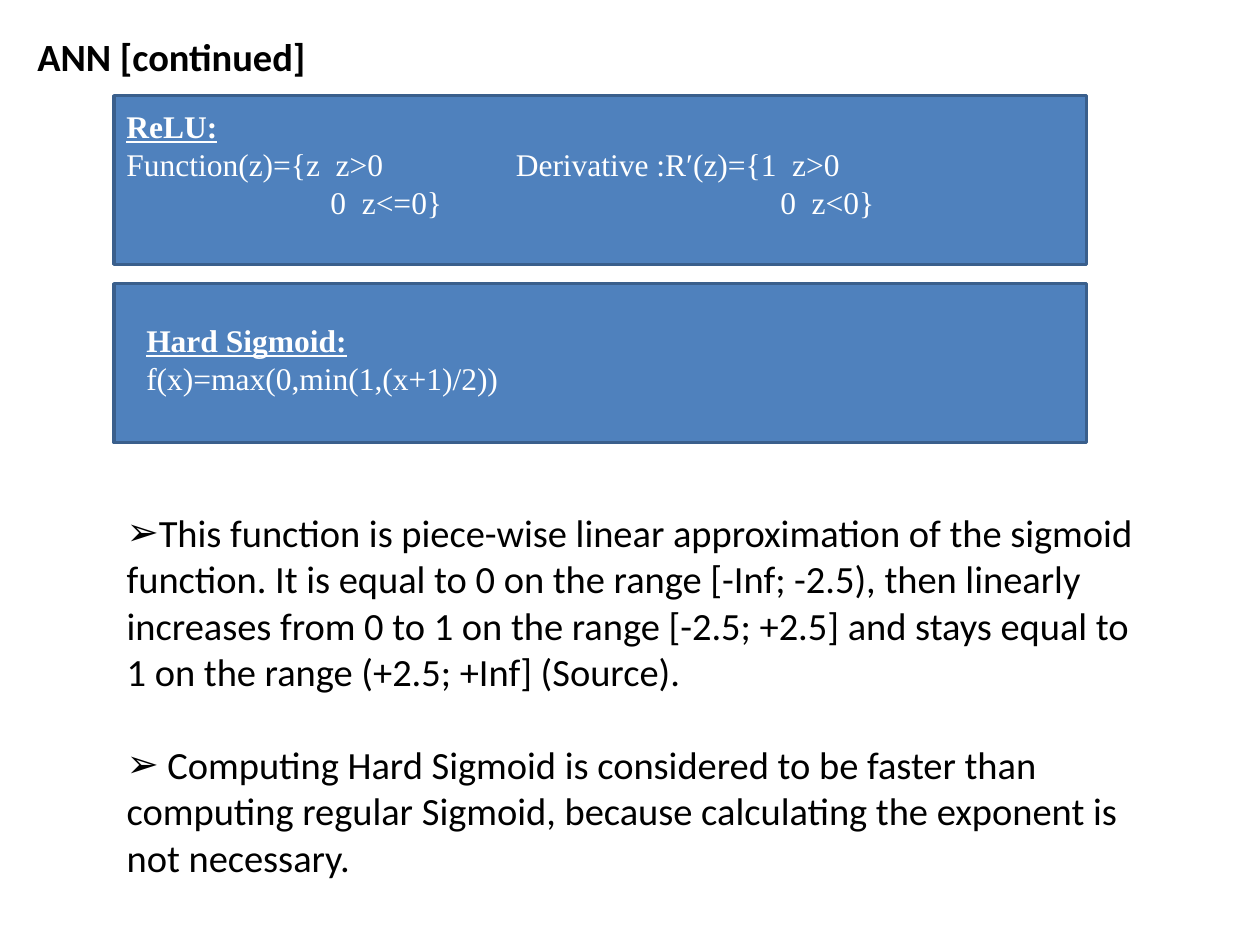
from dataclasses import dataclass

from lxml.etree import SubElement
from pptx import Presentation
from pptx.dml.color import RGBColor
from pptx.enum.shapes import MSO_SHAPE as Shape
from pptx.enum.text import MSO_ANCHOR as Anchor, MSO_AUTO_SIZE as AutoSize, PP_ALIGN as Align
from pptx.oxml.ns import qn
from pptx.util import Cm, Pt


@dataclass(frozen=True)
class Theme:
    panel: RGBColor = RGBColor(0x4F, 0x81, 0xBD)
    border: RGBColor = RGBColor(0x3A, 0x5F, 0x8C)
    dark: RGBColor = RGBColor(0, 0, 0)
    light: RGBColor = RGBColor(0xFF, 0xFF, 0xFF)
    text_font: str = "Calibri"
    formula_font: str = "Times New Roman"
    text_size: Pt = Pt(22)
    formula_size: Pt = Pt(18)


theme = Theme()


def style(paragraph, name, size, color, bold=False, underline=False):
    paragraph.alignment = Align.LEFT
    paragraph.space_before = Pt(0)
    font = paragraph.font
    font.name, font.size, font.bold, font.underline = name, size, bold, underline
    font.color.rgb = color


def place(shape, left, top, width, height):
    shape.left, shape.top, shape.width, shape.height = map(Cm, (left, top, width, height))


presentation = Presentation()
presentation.slide_width, presentation.slide_height = Cm(25.4), Cm(19.05)
slide = presentation.slides.add_slide(presentation.slide_layouts[1])

# Title
title = slide.shapes.title
place(title, 0.5, 0.53, 8.6, 1.2)
title.text_frame.text = "ANN [continued]"
title.text_frame.auto_size = AutoSize.NONE
style(title.text_frame.paragraphs[0], theme.text_font, theme.text_size, theme.dark, bold=True)

# Notes on the hard sigmoid
body = slide.placeholders[1]
place(body, 2.3, 10.14, 20.8, 7.77)
body.text_frame.text = "\n".join([
    "This function is piece-wise linear approximation of the sigmoid function. "
    "It is equal to 0 on the range [-Inf; -2.5), then linearly increases from 0 to 1 "
    "on the range [-2.5; +2.5] and stays equal to 1 on the range (+2.5; +Inf] (Source).",
    " Computing Hard Sigmoid is considered to be faster than computing regular Sigmoid, "
    "because calculating the exponent is not necessary.",
])
body.text_frame.auto_size = AutoSize.NONE
for index, paragraph in enumerate(body.text_frame.paragraphs):
    style(paragraph, theme.text_font, theme.text_size, theme.dark)
    paragraph.space_before = Pt(27 * index)
    properties = paragraph._p.get_or_add_pPr()
    properties.set("marL", "0")
    properties.set("indent", "0")
    bullet = properties.makeelement(qn("a:buChar"), {"char": "➢"})
    properties.find(qn("a:defRPr")).addprevious(bullet)

# Formula panels: top, height, left and top inset, lines with their tab stops
panels = [
    (1.93, 3.4, 0.25, 0.23, [
        ("ReLU:", []),
        ("Function(z)={z  z>0\tDerivative :R′(z)={1  z>0", [7.85]),
        ("\t0  z<=0}\t0  z<0}", [4.11, 13.18]),
    ]),
    (5.72, 3.2, 0.65, 0.75, [
        ("Hard Sigmoid:", []),
        ("f(x)=max(0,min(1,(x+1)/2))", []),
    ]),
]
for top, height, inset_left, inset_top, lines in panels:
    panel = slide.shapes.add_shape(Shape.RECTANGLE, Cm(2.3), Cm(top), Cm(19.6), Cm(height))
    panel.shadow.inherit = False
    panel.fill.solid()
    panel.fill.fore_color.rgb = theme.panel
    panel.line.color.rgb = theme.border
    panel.line.width = Pt(2)
    frame = panel.text_frame
    frame.vertical_anchor = Anchor.TOP
    frame.margin_left, frame.margin_top = Cm(inset_left), Cm(inset_top)
    frame.text = "\n".join(text for text, _ in lines)
    for index, (paragraph, (_, stops)) in enumerate(zip(frame.paragraphs, lines)):
        heading = index == 0
        style(paragraph, theme.formula_font, theme.formula_size, theme.light, heading, heading)
        if stops:
            properties = paragraph._p.get_or_add_pPr()
            tabs = properties.makeelement(qn("a:tabLst"))
            properties.find(qn("a:defRPr")).addprevious(tabs)
            for stop in stops:
                SubElement(tabs, qn("a:tab"), pos=str(Cm(stop)), algn="l")

presentation.save("out.pptx")
